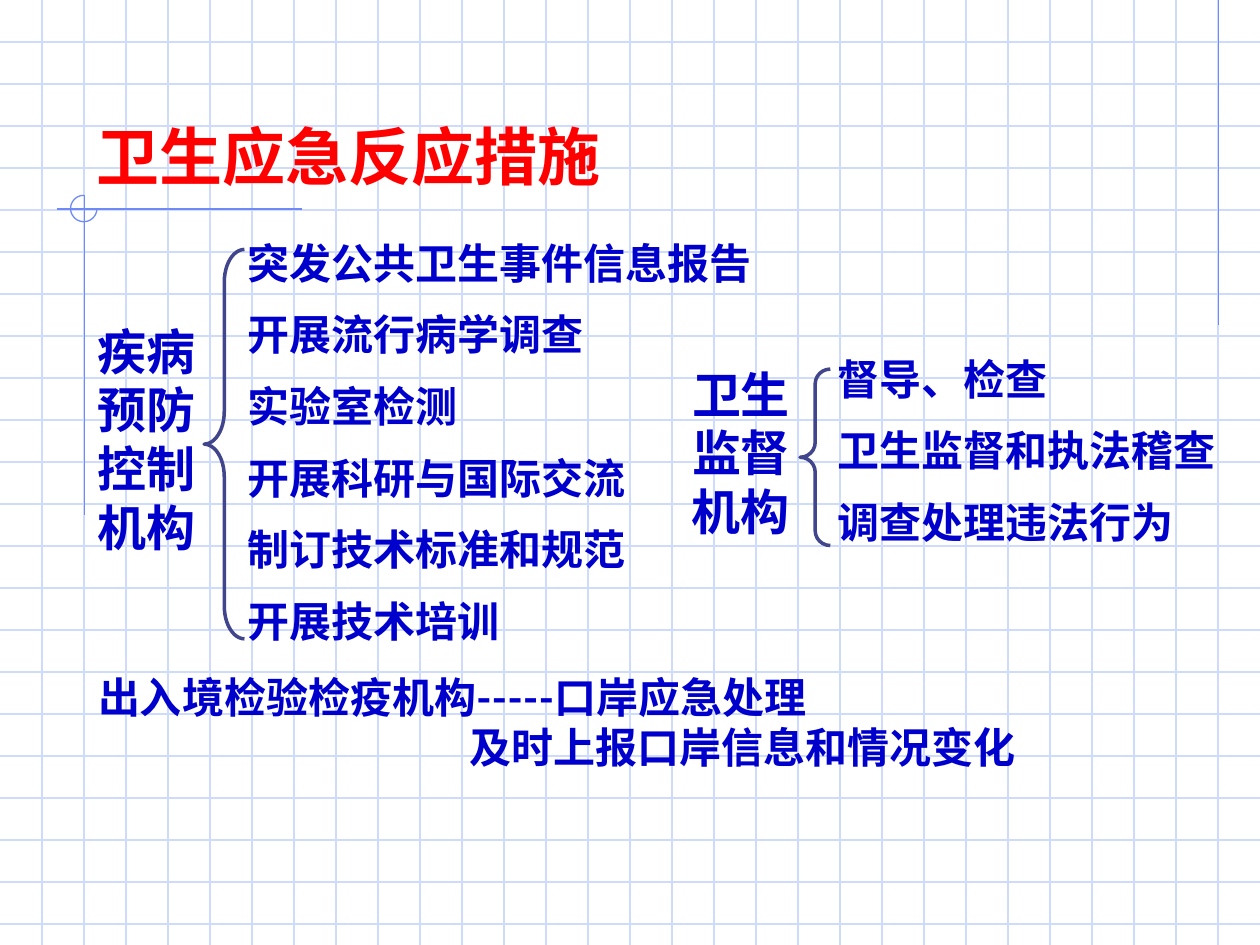
import pptx
import pptx.util
import pptx.dml.color
import pptx.enum.shapes
import pptx.enum.text
import pptx.oxml
import pptx.oxml.ns

Inches = pptx.util.Inches
Pt = pptx.util.Pt
SHAPE = pptx.enum.shapes.MSO_SHAPE
ALIGN = pptx.enum.text.PP_ALIGN
ANCHOR = pptx.enum.text.MSO_ANCHOR
COLORS = {"grid": "CFDBFD", "rule": "6F89F7", "brace": "40458C",
          "title": "FF0000", "text": "0000CC"}
RGB = {name: pptx.dml.color.RGBColor.from_string(code)
       for name, code in COLORS.items()}

deck = pptx.Presentation()
deck.slide_width, deck.slide_height = Inches(10), Inches(7.5)
slide = deck.slides.add_slide(deck.slide_layouts[6])
shapes = slide.shapes


def add_line(x1, y1, x2, y2, color):
    line = shapes.add_connector(
        pptx.enum.shapes.MSO_CONNECTOR.STRAIGHT,
        Inches(x1), Inches(y1), Inches(x2), Inches(y2))
    line.line.color.rgb = RGB[color]
    line.line.width = Pt(0.75)
    props = line._element.spPr
    props.append(pptx.oxml.parse_xml(
        "<a:effectLst %s/>" % pptx.oxml.ns.nsdecls("a")))


def add_text(box, lines, size, color="text", align=ALIGN.LEFT,
             space=None, gap=0):
    frame = shapes.add_textbox(*[Inches(v) for v in box]).text_frame
    frame.word_wrap = True
    frame.text = "\n".join(lines)
    for i, para in enumerate(frame.paragraphs):
        para.alignment = align
        para.line_spacing = space
        para.space_before = Pt(gap if i else 0)
        for run in para.runs:
            run.font.name = "Lato"
            run.font.size = Pt(size)
            run.font.bold = True
            run.font.color.rgb = RGB[color]
    return frame


# Background grid, three squares to the inch
for n in range(1, 23):
    add_line(0, n / 3, 10, n / 3, "grid")
for n in range(1, 30):
    add_line(n / 3, 0, n / 3, 7.5, "grid")

# Accent rules and the open circle where they cross
add_line(9.67, 0, 9.67, 2.58, "rule")
add_line(2.4, 1.66, 0.45, 1.66, "rule")
add_line(0.67, 1.55, 0.67, 4.09, "rule")
arc = shapes.add_shape(SHAPE.ARC, Inches(0.56), Inches(1.55),
                       Inches(0.21), Inches(0.21))
arc.adjustments[0] = 0
arc.adjustments[1] = 162  # 270 degrees
arc.shadow.inherit = False
arc.fill.background()
arc.line.color.rgb = RGB["rule"]
arc.line.width = Pt(0.75)

# Title
title = add_text((0.67, 0.33, 8.5, 1.25), ["卫生应急反应措施"], 36,
                 "title", space=1.6)
title.vertical_anchor = ANCHOR.BOTTOM

# Agencies: name, brace and list of duties
agencies = [
    ("疾病预防控制机构", (0.63, 2.5, 1.06, 1.97),
     (1.62, 1.98, 0.32, 3.09), 0.81, (1.87, 1.88, 4.43, 3.3),
     ["突发公共卫生事件信息报告", "开展流行病学调查", "实验室检测",
      "开展科研与国际交流", "制订技术标准和规范", "开展技术培训"]),
    ("卫生监督机构", (5.37, 2.84, 1.02, 1.5),
     (6.35, 2.93, 0.24, 1.4), 0.49, (6.55, 2.8, 3.3, 1.6),
     ["督导、检查", "卫生监督和执法稽查", "调查处理违法行为"]),
]
for name, spot, span, curve, area, duties in agencies:
    add_text(spot, [name], 28, align=ALIGN.CENTER)
    brace = shapes.add_shape(SHAPE.LEFT_BRACE, *[Inches(v) for v in span])
    brace.adjustments[0] = curve
    brace.shadow.inherit = False
    brace.fill.background()
    brace.line.color.rgb = RGB["brace"]
    brace.line.width = Pt(2)
    add_text(area, duties, 24, space=0.9, gap=15)

# Border inspection, second line indented under the first
border = add_text((0.68, 5.28, 8.54, 0.9),
                  ["出入境检验检疫机构-----口岸应急处理",
                   "及时上报口岸信息和情况变化"], 24)
indent = border.paragraphs[1]._p.get_or_add_pPr()
indent.set("marL", str(Inches(2.95)))
indent.set("indent", "0")

deck.save("out.pptx")
